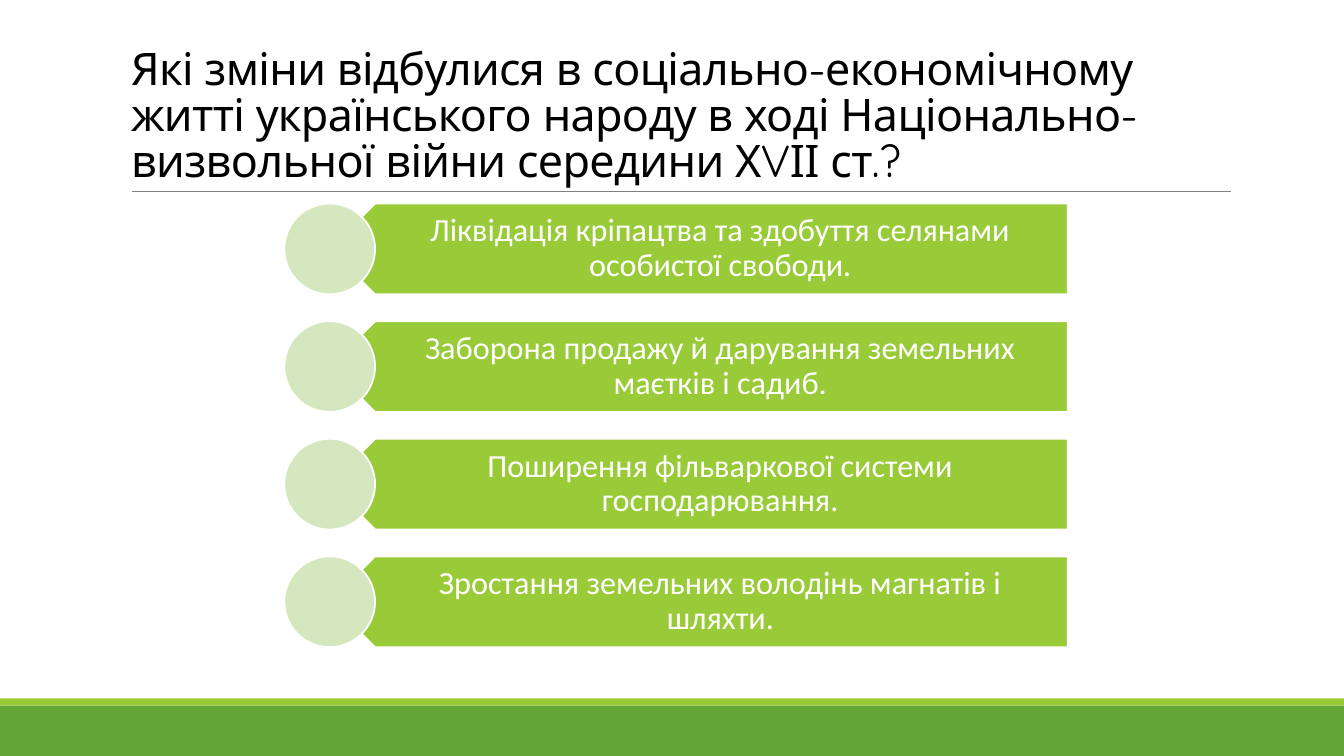
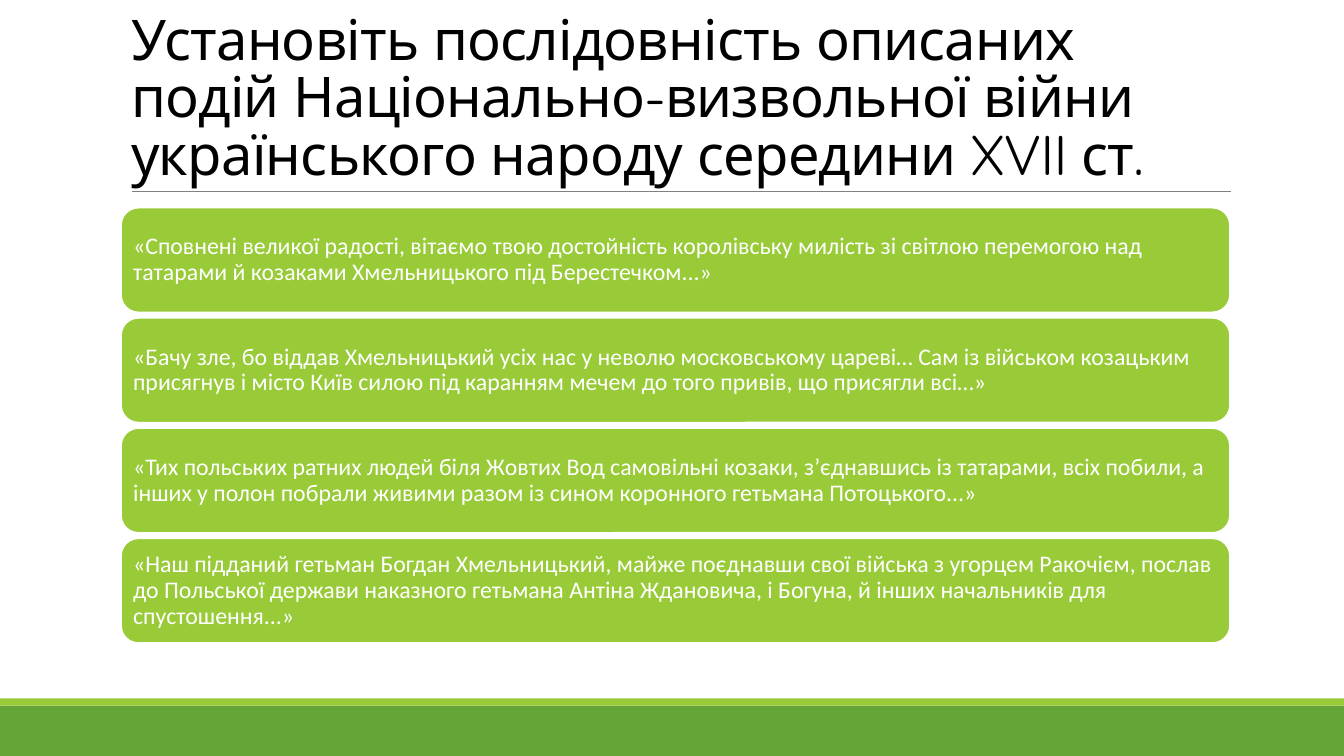
from lxml.etree import SubElement
from pptx import Presentation
from pptx.dml.color import RGBColor
from pptx.enum.shapes import MSO_CONNECTOR, MSO_SHAPE as Preset
from pptx.enum.text import MSO_ANCHOR as Anchor, MSO_AUTO_SIZE as AutoSize, PP_ALIGN as Align
from pptx.oxml.ns import qn
from pptx.util import Inches, Pt

BLACK, WHITE, GRAY = "000000", "FFFFFF", "808080"
GREEN, LIME, PALE = "63A537", "99CB38", "D4E7BF"
WIDTH, HEIGHT = 13.33, 7.5


def rgb(code):
    return RGBColor.from_string(code)


def spread(first, last, items):
    step = (last - first) / (len(items) - 1)
    return [(first + index * step, item) for index, item in enumerate(items)]


class Deck:
    title_font, body_font = "Quicksand", "Calibri"

    def __init__(self):
        self.prs = Presentation()
        self.prs.slide_width, self.prs.slide_height = Inches(WIDTH), Inches(HEIGHT)
        self.slide = None

    def new_slide(self, heading, size):
        self.slide = self.prs.slides.add_slide(self.prs.slide_layouts[5])
        self.shape(Preset.RECTANGLE, (0, 7, WIDTH, 0.5), GREEN)
        self.shape(Preset.RECTANGLE, (0, 6.93, WIDTH, 0.07), LIME)
        self.rule(1.31, 12.21, 1.9)
        title = self.slide.shapes.title
        title.left, title.top, title.width, title.height = map(Inches, (1.2, 0.31, 11, 1.59))
        run = self.set_text(title, heading, size, self.title_font, BLACK, Align.LEFT,
                            Anchor.BOTTOM, (0.1, 0.05, 0.1, 0.05), 0.85)
        run.font._element.set("spc", "-50")

    def shape(self, preset, box, fill, outlined=False, rotation=0):
        shape = self.slide.shapes.add_shape(preset, *map(Inches, box))
        shape.shadow.inherit = False
        shape.rotation = rotation
        shape.fill.solid()
        shape.fill.fore_color.rgb = rgb(fill)
        if outlined:
            shape.line.color.rgb = rgb(WHITE)
            shape.line.width = Pt(1.25)
        else:
            shape.line.fill.background()
        return shape

    def rule(self, left, right, y):
        line = self.slide.shapes.add_connector(
            MSO_CONNECTOR.STRAIGHT, *map(Inches, (left, y, right, y)))
        line.line.color.rgb = rgb(GRAY)
        line.line.width = Pt(0.5)
        SubElement(line._element.spPr, qn("a:effectLst"))

    def set_text(self, holder, text, size, font, color, align, anchor, insets, spacing=0.9):
        frame = holder.text_frame
        left, top, right, bottom = map(Inches, insets)
        frame_format = {
            "word_wrap": True, "auto_size": AutoSize.NONE, "vertical_anchor": anchor,
            "margin_left": left, "margin_top": top,
            "margin_right": right, "margin_bottom": bottom,
        }
        for key, value in frame_format.items():
            setattr(frame, key, value)
        paragraph = frame.paragraphs[0]
        paragraph.alignment, paragraph.line_spacing = align, spacing
        run = paragraph.add_run()
        run.text = text
        for key, value in {"name": font, "size": Pt(size)}.items():
            setattr(run.font, key, value)
        run.font.color.rgb = rgb(color)
        return run

    def change(self, top, text):
        height = 0.9
        self.shape(Preset.PENTAGON, (3.27, top, 7.32, height), LIME, True, 180)
        label = self.slide.shapes.add_textbox(*map(Inches, (3.49, top, 7.09, height)))
        self.set_text(label, text, 23, self.body_font, WHITE, Align.CENTER,
                      Anchor.MIDDLE, (0.4, 0.1, 0.18, 0.1))
        self.shape(Preset.OVAL, (2.82, top, height, height), PALE, True)

    def quote(self, top, text):
        card = self.shape(Preset.ROUNDED_RECTANGLE, (1.2, top, 11, 1.04), LIME, True)
        self.set_text(card, text, 17, self.body_font, WHITE, Align.LEFT,
                      Anchor.MIDDLE, (0.07,) * 4)


CHANGES = [
    "Ліквідація кріпацтва та здобуття селянами особистої свободи.",
    "Заборона продажу й дарування земельних маєтків і садиб.",
    "Поширення фільваркової системи господарювання.",
    "Зростання земельних володінь магнатів і шляхти.",
]
QUOTES = [
    "«Сповнені великої радості, вітаємо твою достойність королівську милість зі світлою "
    "перемогою над татарами й козаками Хмельницького під Берестечком...»",
    "«Бачу зле, бо віддав Хмельницький усіх нас у неволю московському цареві… Сам із "
    "військом козацьким присягнув і місто Київ силою під каранням мечем до того привів, "
    "що присягли всі…»",
    "«Тих польських ратних людей біля Жовтих Вод самовільні козаки, з’єднавшись із "
    "татарами, всіх побили, а інших у полон побрали живими разом із сином коронного "
    "гетьмана Потоцького...»",
    "«Наш підданий гетьман Богдан Хмельницький, майже поєднавши свої війська з угорцем "
    "Ракочієм, послав до Польської держави наказного гетьмана Антіна Ждановича, і Богуна, "
    "й інших начальників для спустошення...»",
]


def main():
    deck = Deck()
    deck.new_slide("Які зміни відбулися в соціально-економічному житті українського народу "
                   "в ході Національно-визвольної війни середини ХVІІ ст.?", 32)
    for top, text in spread(2.02, 5.52, CHANGES):
        deck.change(top, text)
    deck.new_slide("Установіть послідовність описаних подій Національно-визвольної війни "
                   "українського народу середини XVII ст.", 40)
    for top, text in spread(2.06, 5.34, QUOTES):
        deck.quote(top, text)
    deck.prs.save("out.pptx")


if __name__ == "__main__":
    main()
